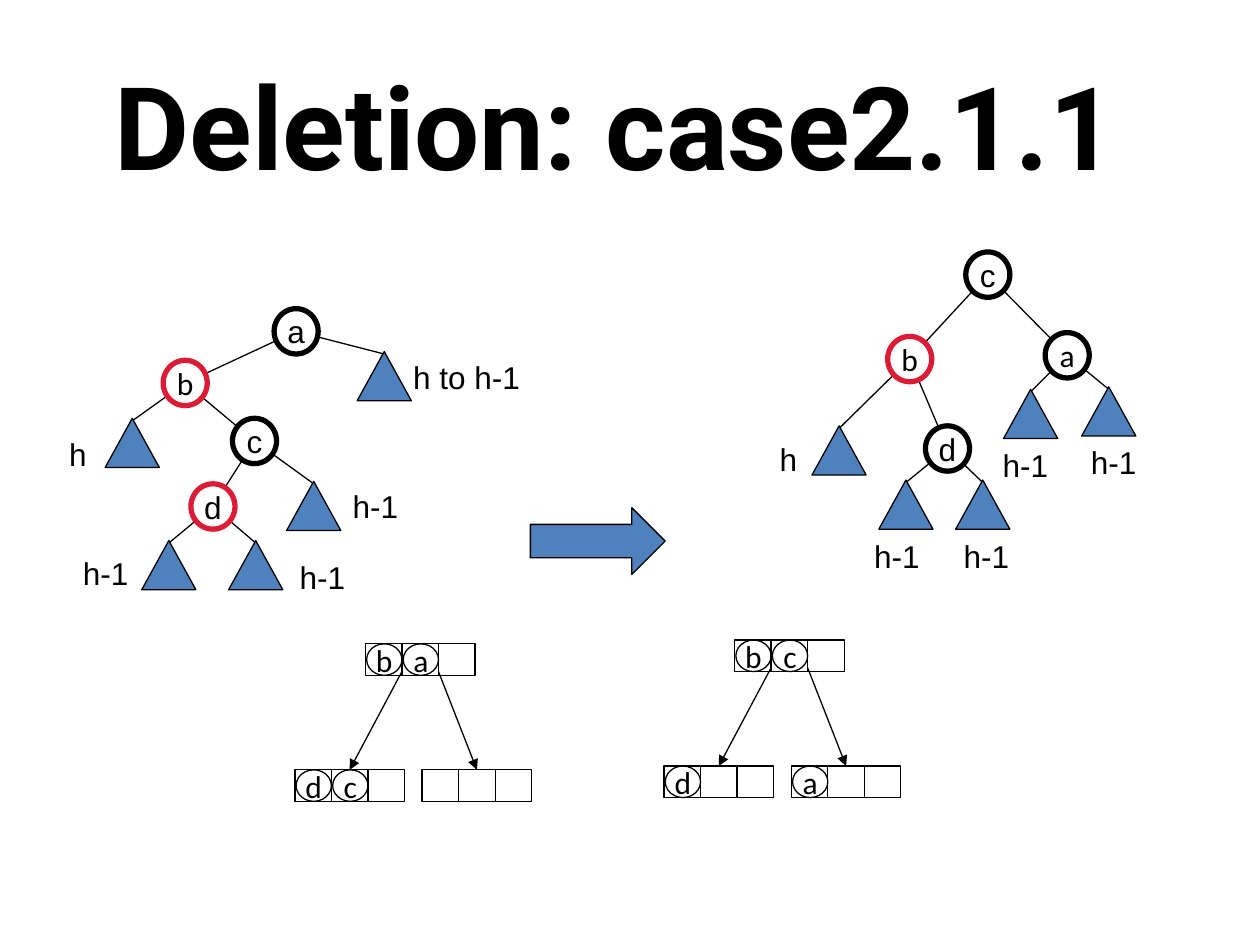
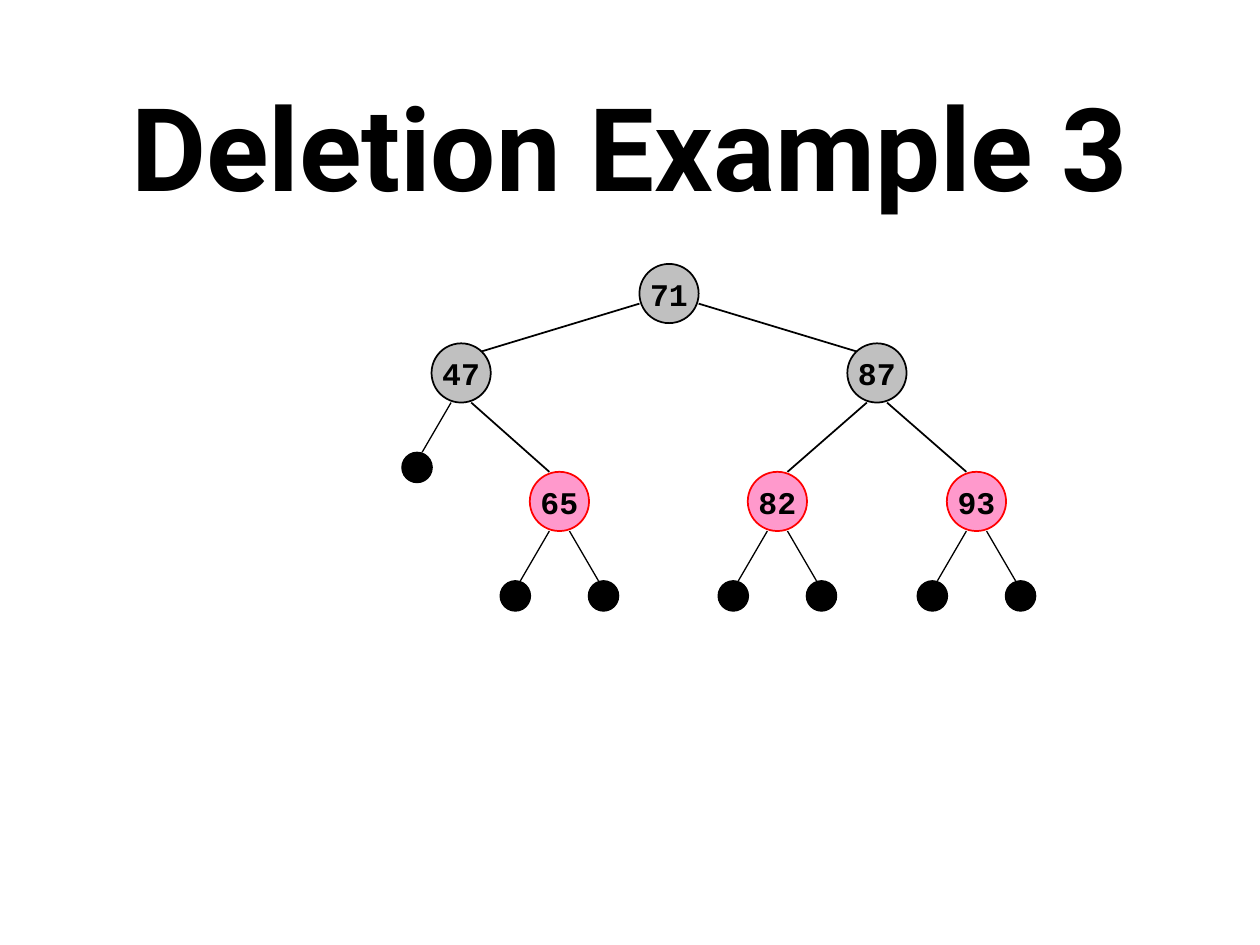
from collections import namedtuple
from dataclasses import dataclass

from lxml import etree
from pptx import Presentation
from pptx import util as u
from pptx.dml import color
from pptx.enum import shapes, text
from pptx.oxml import ns


@dataclass(frozen=True)
class Theme:
    black: str = "000000"
    white: str = "FFFFFF"
    red_ring: str = "DC1C36"
    subtree_blue: str = "4F81BD"
    black_node: str = "C0C0C0"
    red_node: str = "FF99CC"
    red_edge: str = "FF0000"
    title_font: str = "Roboto"
    label_font: str = "Arial"
    key_font: str = "Calibri"
    number_font: str = "Courier New"
    title_size: float = 66
    text_size: float = 18
    thin: float = 0.75
    medium: float = 1
    thick: float = 3


THEME = Theme()
KIND = shapes.MSO_SHAPE
Box = namedtuple("Box", "left top width height")
Node = namedtuple("Node", "x y ring font")
Subtree = namedtuple("Subtree", "parent x y label label_x label_y")

LABEL_WIDTHS = {"h": 0.34, "h-1": 0.56, "h to h-1": 1.05}

TREE_BEFORE = {
    "nodes": {
        "a": Node(1.9, 0.21, THEME.black, THEME.label_font),
        "b": Node(1.02, 0.62, THEME.red_ring, THEME.key_font),
        "c": Node(1.57, 1.08, THEME.black, THEME.label_font),
        "d": Node(1.24, 1.6, THEME.red_ring, THEME.label_font),
    },
    "edges": ["ab", "bc", "cd"],
    "subtrees": [
        Subtree("a", 2.6, 0.37, "h to h-1", 2.73, 0.37),
        Subtree("b", 0.6, 0.9, "h", 0, 0.98),
        Subtree("c", 2.04, 1.4, "h-1", 2.25, 1.4),
        Subtree("d", 0.89, 1.87, "h-1", 0.11, 1.93),
        Subtree("d", 1.58, 1.87, "h-1", 1.83, 1.96),
    ],
}

TREE_AFTER = {
    "nodes": {
        "c": Node(1.75, 0.21, THEME.black, THEME.label_font),
        "b": Node(1.13, 0.88, THEME.red_ring, THEME.key_font),
        "a": Node(2.38, 0.85, THEME.black, THEME.key_font),
        "d": Node(1.43, 1.59, THEME.black, THEME.label_font),
    },
    "edges": ["cb", "ca", "bd"],
    "subtrees": [
        Subtree("b", 0.57, 1.41, "h", 0, 1.47),
        Subtree("d", 1.1, 1.84, "h-1", 0.75, 2.24),
        Subtree("d", 1.71, 1.84, "h-1", 1.46, 2.24),
        Subtree("a", 2.09, 1.12, "h-1", 1.77, 1.52),
        Subtree("a", 2.71, 1.1, "h-1", 2.47, 1.5),
    ],
}


def write(frame, content, font=THEME.label_font, size=THEME.text_size, bold=False,
          align=text.PP_ALIGN.CENTER, anchor=text.MSO_ANCHOR.MIDDLE, wrap=False):
    frame.word_wrap = wrap
    frame.vertical_anchor = anchor
    para = frame.paragraphs[0]
    para.alignment = align
    span = para.add_run()
    span.text = content
    span.font.name = font
    span.font.size = u.Pt(size)
    span.font.bold = bold
    span.font.color.rgb = color.RGBColor.from_string(THEME.black)


def add_title(page, content, top):
    title = page.shapes.title
    title.left, title.top = u.Inches(0.5), u.Inches(top)
    title.width, title.height = u.Inches(9), u.Inches(1.25)
    title.text_frame.auto_size = text.MSO_AUTO_SIZE.NONE
    write(title.text_frame, content, font=THEME.title_font,
          size=THEME.title_size, bold=True, wrap=True)


def add_label(page, content, left, top):
    label = page.shapes.add_textbox(u.Inches(left), u.Inches(top),
                                    u.Inches(LABEL_WIDTHS[content]), u.Inches(0.4))
    write(label.text_frame, content, align=text.PP_ALIGN.LEFT,
          anchor=text.MSO_ANCHOR.TOP)


def add_figure(page, kind, box, fill=None, line=THEME.black, weight=THEME.thin,
               content="", **style):
    figure = page.shapes.add_shape(kind, *map(u.Inches, box))
    figure.shadow.inherit = False
    if fill:
        figure.fill.solid()
        figure.fill.fore_color.rgb = color.RGBColor.from_string(fill)
    else:
        figure.fill.background()
    figure.line.color.rgb = color.RGBColor.from_string(line)
    figure.line.width = u.Pt(weight)
    if content:
        write(figure.text_frame, content, **style)
    return figure


def add_edge(page, start, end, weight=THEME.thin, arrow=False):
    edge = page.shapes.add_connector(shapes.MSO_CONNECTOR.STRAIGHT,
                                     *map(u.Inches, (*start, *end)))
    edge.line.color.rgb = color.RGBColor.from_string(THEME.black)
    edge.line.width = u.Pt(weight)
    if arrow:
        etree.SubElement(edge.line._get_or_add_ln(), ns.qn("a:tailEnd"), type="triangle")
    etree.SubElement(edge._element.spPr, ns.qn("a:effectLst"))
    return edge


def centred(x, y, width, height):
    return Box(x - width / 2, y - height / 2, width, height)


def draw_red_black_tree(page, left, top, tree):
    nodes = {key: node._replace(x=left + node.x, y=top + node.y)
             for key, node in tree["nodes"].items()}
    for parent, child in tree["edges"]:
        add_edge(page, nodes[parent][:2], nodes[child][:2])
    for subtree in tree["subtrees"]:
        add_edge(page, nodes[subtree.parent][:2],
                 (left + subtree.x, top + subtree.y + 0.02))
    for key, node in nodes.items():
        add_figure(page, KIND.OVAL, centred(node.x, node.y, 0.35, 0.36),
                   fill=THEME.white, line=node.ring, weight=THEME.thick,
                   content=key, font=node.font)
    for subtree in tree["subtrees"]:
        apex_x, apex_y = left + subtree.x, top + subtree.y
        add_figure(page, KIND.FLOWCHART_EXTRACT,
                   Box(apex_x - 0.215, apex_y, 0.43, 0.39), fill=THEME.subtree_blue)
        add_label(page, subtree.label, left + subtree.label_x, top + subtree.label_y)


def draw_key_cells(page, left, top, keys):
    width, height = 0.29, 0.25
    cells = [add_figure(page, KIND.RECTANGLE,
                        Box(left + slot * width, top, width, height))
             for slot in range(3)]
    for slot, key in enumerate(keys):
        add_figure(page, KIND.OVAL,
                   Box(left + slot * width + 0.01, top, 0.28, height),
                   content=key, font=THEME.key_font)
    return cells


def draw_b_tree(page, left, top, root_keys, children_keys):
    root_left = left + 0.56
    draw_key_cells(page, root_left, top, root_keys)
    for index, keys in enumerate(children_keys):
        child_left = left + index * 1.01
        cells = draw_key_cells(page, child_left, top + 1, keys)
        arrow = add_edge(page, (root_left + 0.29 * (index + 1), top + 0.22),
                         (child_left + 0.44, top + 1), arrow=True)
        arrow.end_connect(cells[1], 0)


def draw_number_tree(page, left, top):
    diameter, leaf = 0.47, 0.24
    radius = diameter / 2
    numbers = {
        "71": (2.12, 0.23), "47": (0.47, 0.86), "87": (3.77, 0.86),
        "65": (1.25, 1.88), "82": (2.98, 1.88), "93": (4.56, 1.88),
    }
    centres = {number: (left + x, top + y) for number, (x, y) in numbers.items()}
    links = [("71", "47", -1), ("71", "87", 1), ("47", "65", 1),
             ("87", "82", -1), ("87", "93", 1)]
    leaves = [("47", -1)] + [(number, side) for number in ("65", "82", "93")
                             for side in (-1, 1)]

    for parent, child, side in links:
        (x1, y1), (x2, y2) = centres[parent], centres[child]
        if parent == "71":
            start, end = (x1 + side * radius, y1 + 0.08), (x2 - side * 0.16, y2 - 0.17)
        else:
            start, end = (x1 + side * 0.08, y1 + radius), (x2 - side * 0.08, y2 - radius)
        add_edge(page, start, end, weight=THEME.medium)
    for parent, side in leaves:
        x, y = centres[parent]
        leaf_x, leaf_y = x + side * 0.35, y + 0.75
        add_edge(page, (x + side * 0.08, y + radius),
                 (leaf_x - side * 0.04, leaf_y - leaf / 2))
        add_figure(page, KIND.OVAL, centred(leaf_x, leaf_y, leaf, leaf), fill=THEME.black)
    for number, (x, y) in centres.items():
        red = number in ("65", "82", "93")
        add_figure(page, KIND.OVAL, centred(x, y, diameter, diameter),
                   fill=THEME.red_node if red else THEME.black_node,
                   line=THEME.red_edge if red else THEME.black,
                   weight=THEME.medium, content=number,
                   font=THEME.number_font, bold=True)


def build_case_slide(page):
    add_title(page, "Deletion: case2.1.1 ", 0.36)
    draw_red_black_tree(page, 0.45, 2.42, TREE_BEFORE)
    draw_red_black_tree(page, 6.09, 1.97, TREE_AFTER)
    draw_b_tree(page, 2.34, 5.11, "ba", ["dc", ""])
    draw_b_tree(page, 5.27, 5.08, "bc", ["d", "a"])
    add_figure(page, KIND.RIGHT_ARROW, Box(4.21, 4.03, 1.07, 0.53),
               fill=THEME.subtree_blue)


def build_example_slide(page):
    add_title(page, "Deletion Example 3", 0.53)
    draw_number_tree(page, 3.19, 2.1)


def main():
    deck = Presentation()
    deck.slide_width, deck.slide_height = u.Inches(10), u.Inches(7.5)
    for build in (build_case_slide, build_example_slide):
        build(deck.slides.add_slide(deck.slide_layouts[5]))
    deck.save("out.pptx")


if __name__ == "__main__":
    main()
